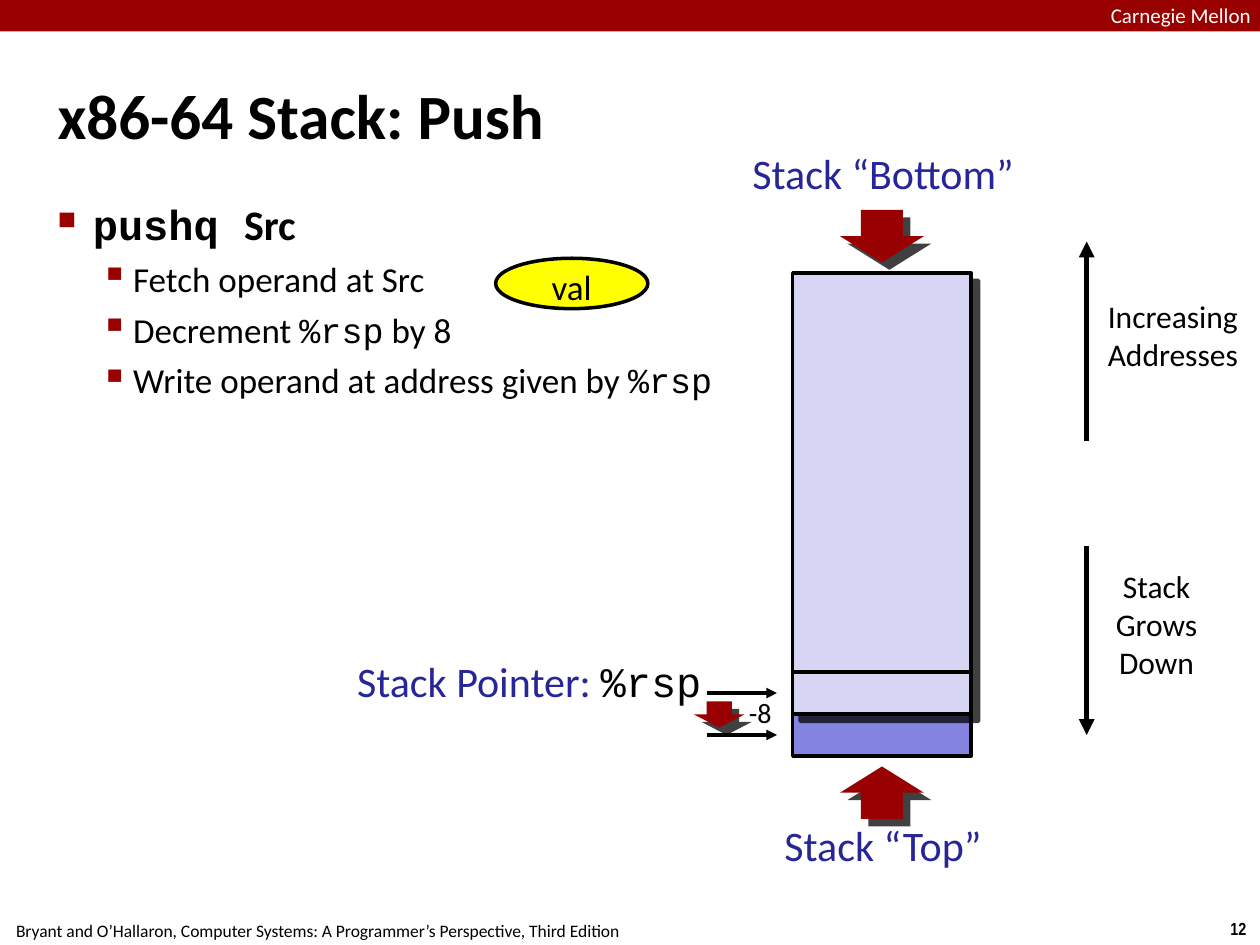
from lxml import etree
from pptx import Presentation
from pptx.dml.color import RGBColor
from pptx.enum.shapes import MSO_CONNECTOR, MSO_SHAPE
from pptx.enum.text import MSO_ANCHOR, MSO_AUTO_SIZE, PP_ALIGN
from pptx.oxml.ns import qn
from pptx.util import Inches, Pt

RECTANGLE, ELLIPSE = MSO_SHAPE.RECTANGLE, MSO_SHAPE.OVAL
DOWN_ARROW, UP_ARROW = MSO_SHAPE.DOWN_ARROW, MSO_SHAPE.UP_ARROW
STRAIGHT = MSO_CONNECTOR.STRAIGHT
LEFT, CENTER, RIGHT = PP_ALIGN.LEFT, PP_ALIGN.CENTER, PP_ALIGN.RIGHT
TOP, MIDDLE = MSO_ANCHOR.TOP, MSO_ANCHOR.MIDDLE
FIT_SHAPE = MSO_AUTO_SIZE.SHAPE_TO_FIT_TEXT

BLACK = RGBColor(0x00, 0x00, 0x00)
WHITE = RGBColor(0xFF, 0xFF, 0xFF)
CRIMSON = RGBColor(0x99, 0x00, 0x00)
ARROW_RED = RGBColor(0x98, 0x00, 0x02)
LABEL_BLUE = RGBColor(0x26, 0x26, 0x99)
STACK_FILL = RGBColor(0xD6, 0xD6, 0xF4)
PUSHED_FILL = RGBColor(0x84, 0x84, 0xE0)
YELLOW = RGBColor(0xFF, 0xFF, 0x00)

SANS, MONO, NARROW = "Calibri", "Courier New", "Arial Narrow"
MONO_RUN = {"font": MONO}
INSET = (0.04,) * 4
NO_INSET = (0,) * 4

# The slide is a grid of 120 columns by 90 rows, each cell 1/12 inch.
CELL = Inches(1) / 12
COLUMNS, ROWS = 120, 90

STACK_LEFT, STACK_WIDTH = 75.5, 17
STACK_TOP, STACK_BOTTOM = 26, 68
SLOT = 4
AXIS = 103.5
ARROW_LEFT, ARROW_WIDTH, ARROW_HEIGHT = 80, 8, 5

BULLETS = [
    {"character": "■", "percent": 60, "margin": 0.28, "hanging": 0.28},
    {"character": "▪", "percent": 110, "margin": 0.6, "hanging": 0.26},
]


def cells(*counts):
    return [round(count * CELL) for count in counts]


def add_bullet(paragraph, level):
    bullet = BULLETS[level]
    paragraph.level = level
    properties = paragraph._p.get_or_add_pPr()
    properties.set("marL", str(Inches(bullet["margin"])))
    properties.set("indent", str(-Inches(bullet["hanging"])))
    color = etree.SubElement(properties, qn("a:buClr"))
    etree.SubElement(color, qn("a:srgbClr"), val=str(CRIMSON))
    etree.SubElement(properties, qn("a:buSzPct"), val=str(bullet["percent"] * 1000))
    etree.SubElement(properties, qn("a:buChar"), char=bullet["character"])


def write_text(shape, paragraphs, size, font=SANS, color=BLACK, bold=False,
               align=LEFT, anchor=TOP, inset=NO_INSET, wrap=True, levels=None):
    """Fill a shape; each paragraph is a list of (text, format changes) runs."""
    frame = shape.text_frame
    frame.word_wrap = wrap
    if not wrap:
        frame.auto_size = FIT_SHAPE
    frame.vertical_anchor = anchor
    (frame.margin_left, frame.margin_top,
     frame.margin_right, frame.margin_bottom) = map(Inches, inset)
    for index, runs in enumerate(paragraphs):
        paragraph = frame.add_paragraph() if index else frame.paragraphs[0]
        paragraph.alignment = align
        if levels:
            add_bullet(paragraph, levels[index])
            if index:
                paragraph.space_before = Pt(5)
        for text, changes in runs:
            run = paragraph.add_run()
            run.text = text
            run.font.name = changes.get("font", font)
            run.font.size = Pt(changes.get("size", size))
            run.font.bold = changes.get("bold", bold)
            run.font.color.rgb = changes.get("color", color)


def plain(*lines):
    return [[(line, {})] for line in lines]


def add_text(slide, box, paragraphs, size, **text_format):
    write_text(slide.shapes.add_textbox(*cells(*box)), paragraphs, size, **text_format)


def add_label(slide, box, paragraphs, size, **text_format):
    """Add a centred text box that grows with its unwrapped text."""
    add_text(slide, box, paragraphs, size, **{"align": CENTER, "wrap": False, **text_format})


def add_block(slide, kind, box, fill, outlined=False, shadow=False):
    shape = slide.shapes.add_shape(kind, *cells(*box))
    shape.fill.solid()
    shape.fill.fore_color.rgb = fill
    if outlined:
        shape.line.color.rgb = BLACK
        shape.line.width = Pt(2)
    else:
        shape.line.fill.background()
    shape.shadow.inherit = False
    if shadow:
        effects = shape._element.spPr.find(qn("a:effectLst"))
        outer = etree.SubElement(effects, qn("a:outerShdw"), dist=str(Pt(6)),
                                 dir=str(45 * 60000), algn="ctr", rotWithShape="0")
        color = etree.SubElement(outer, qn("a:srgbClr"), val=str(BLACK))
        etree.SubElement(color, qn("a:alpha"), val="75000")
    return shape


def add_line(slide, start, end, width=2, arrow=True):
    line = slide.shapes.add_connector(STRAIGHT, *cells(*start, *end))
    line.line.color.rgb = BLACK
    line.line.width = Pt(width)
    if arrow:
        etree.SubElement(line.line._get_or_add_ln(), qn("a:tailEnd"), type="triangle")
    etree.SubElement(line._element.spPr, qn("a:effectLst"))


def add_frame(slide):
    """Add the header bar, footer and slide number."""
    add_block(slide, RECTANGLE, (0, 0, COLUMNS, 3), CRIMSON)
    add_text(slide, (105.8, 0.25, 17.3, 2.25), plain("Carnegie Mellon"), 12, color=WHITE)
    footer_inset = (0.1, 0.05, 0.1, 0.05)
    add_label(slide, (-0.25, 87, 61, 3.2), plain(
        "Bryant and O’Hallaron, Computer Systems: A Programmer’s Perspective, Third Edition"),
        10, inset=footer_inset)
    add_label(slide, (115.9, 86.8, 4.1, 3.2), plain("12"), 10,
              font=NARROW, bold=True, inset=footer_inset)


def add_explanation(slide):
    add_text(slide, (5, 3.4, 110, 15), plain("x86-64 Stack: Push"), 36,
             bold=True, anchor=MIDDLE, inset=INSET)
    steps = [
        [("pushq ", {"font": MONO, "size": 24, "bold": True}),
         ("Src", {"size": 24, "bold": True})],
        [("Fetch operand at Src", {})],
        [("Decrement ", {}), ("%rsp", MONO_RUN), (" by 8", {})],
        [("Write operand at address given by ", {}), ("%rsp", MONO_RUN)],
    ]
    add_text(slide, (5, 18.4, 110, 71.2), steps, 20, inset=INSET, levels=[0, 1, 1, 1])


def add_stack(slide):
    add_block(slide, RECTANGLE, (STACK_LEFT, STACK_BOTTOM, STACK_WIDTH, SLOT),
              PUSHED_FILL, outlined=True)
    add_block(slide, RECTANGLE, (STACK_LEFT, STACK_TOP, STACK_WIDTH, STACK_BOTTOM - STACK_TOP),
              STACK_FILL, outlined=True, shadow=True)
    divider = STACK_BOTTOM - SLOT
    add_line(slide, (STACK_LEFT, divider), (STACK_LEFT + STACK_WIDTH, divider), arrow=False)
    for kind, top, label_box, label in (
            (DOWN_ARROW, 20, (70.7, 14, 26.8, 5.9), "Stack “Bottom”"),
            (UP_ARROW, 73, (73.9, 78, 20.4, 5.9), "Stack “Top”")):
        add_block(slide, kind, (ARROW_LEFT, top, ARROW_WIDTH, ARROW_HEIGHT),
                  ARROW_RED, shadow=True)
        add_label(slide, label_box, plain(label), 24, color=LABEL_BLUE)


def add_pointer(slide):
    """Show the stack pointer before and after it moves down one slot."""
    for row in (STACK_BOTTOM - SLOT / 2, STACK_BOTTOM + SLOT / 2):
        add_line(slide, (67.3, row), (74, row))
    add_block(slide, DOWN_ARROW, (66.1, 66.8, 4.8, 2.5), ARROW_RED, shadow=True)
    add_label(slide, (70.8, 65.8, 3.2, 4.2), plain("-8"), 16, inset=INSET)
    add_label(slide, (33.4, 62.4, 33.4, 4.8),
              [[("Stack Pointer: ", {"color": LABEL_BLUE}), ("%rsp", MONO_RUN)]],
              24, align=RIGHT)


def add_directions(slide):
    add_line(slide, (AXIS, 42), (AXIS, 23), width=3)
    add_line(slide, (AXIS, 52), (AXIS, 70), width=3)
    for box, lines, wrap in (
            ((104.9, 28.3, 13.6, 8.3), ("Increasing", "Addresses"), False),
            ((104.8, 54, 10.7, 12), ("Stack Grows", "Down"), True)):
        label = add_block(slide, RECTANGLE, box, WHITE)
        write_text(label, plain(*lines), 18, align=CENTER, wrap=wrap)


def main():
    presentation = Presentation()
    presentation.slide_width, presentation.slide_height = cells(COLUMNS, ROWS)
    slide = presentation.slides.add_slide(presentation.slide_layouts[6])
    add_frame(slide)
    add_explanation(slide)
    add_stack(slide)
    add_pointer(slide)
    add_directions(slide)
    value = add_block(slide, ELLIPSE, (47.2, 24.6, 14.5, 4.8), YELLOW, outlined=True)
    write_text(value, plain("val"), 20, align=CENTER, inset=(0.1, 0, 0.1, 0))
    presentation.save("out.pptx")


if __name__ == "__main__":
    main()
